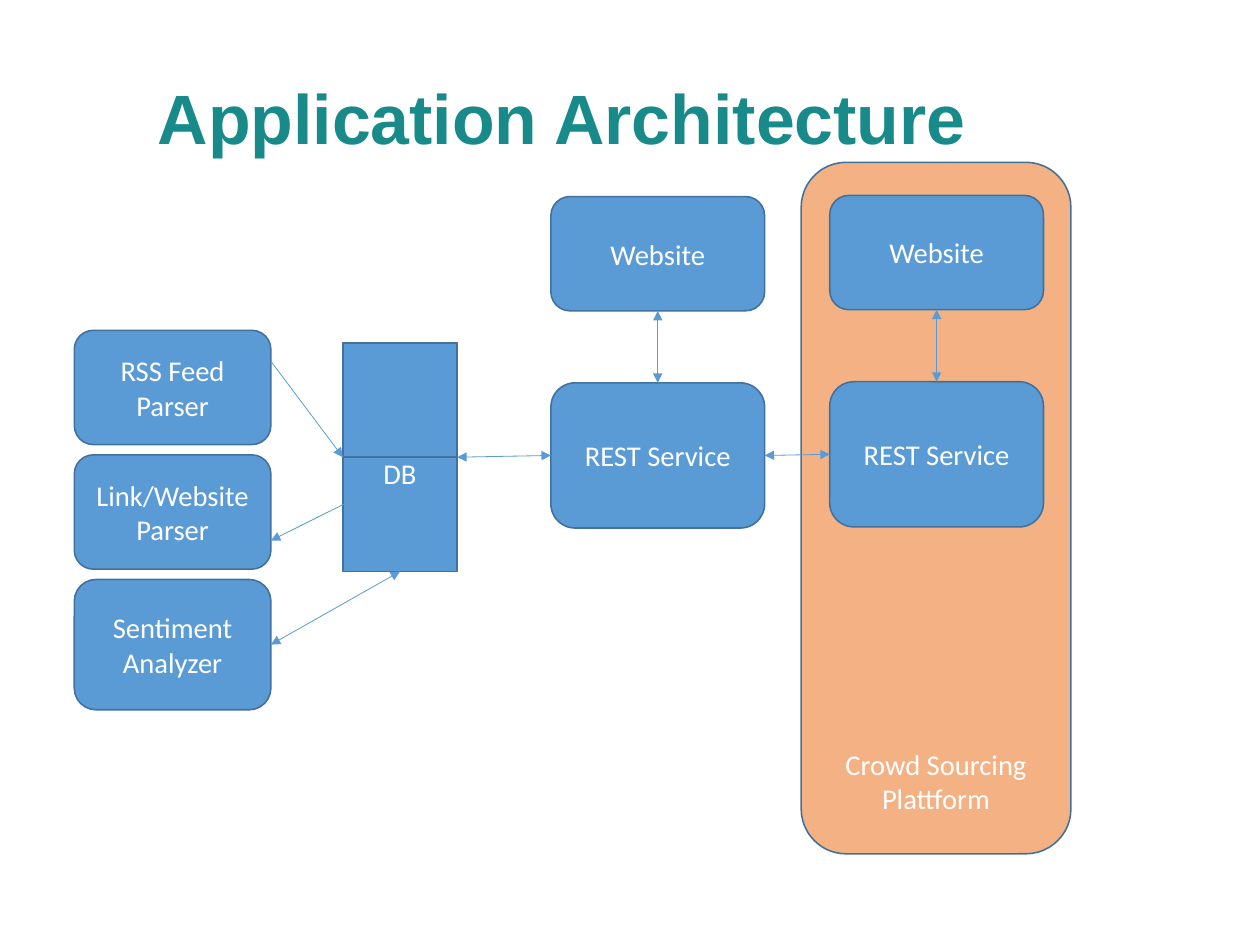
from math import cos, pi, sin

from pptx import Presentation, util as u
from pptx.dml.color import RGBColor
from pptx.enum import shapes, text
from pptx.oxml.ns import qn
from lxml import etree

BLUE, OUTLINE, ORANGE, TEAL, WHITE = "5B9BD5", "41719C", "F4B183", "198A8A", "FFFFFF"


def paint(color_format, value):
    color_format.rgb = RGBColor.from_string(value)


def inches(*lengths):
    return [u.Inches(length) for length in lengths]


def write(frame, words, size=18, font="Calibri", color=WHITE, bold=False,
          anchor=text.MSO_ANCHOR.MIDDLE, insets=(0.1, 0.05, 0.1, 0.05)):
    """Fill a text frame with centred lines, one paragraph each."""
    frame.word_wrap = True
    frame.vertical_anchor = anchor
    (frame.margin_left, frame.margin_top,
     frame.margin_right, frame.margin_bottom) = inches(*insets)
    for index, line in enumerate(words.split("\n")):
        paragraph = frame.paragraphs[0] if index == 0 else frame.add_paragraph()
        paragraph.alignment = text.PP_ALIGN.CENTER
        run = paragraph.add_run()
        run.text = line
        run.font.size, run.font.name, run.font.bold = u.Pt(size), font, bold
        paint(run.font.color, color)


def dress(shape, words, fill=BLUE, **text_format):
    shape.shadow.inherit = False
    shape.fill.solid()
    paint(shape.fill.fore_color, fill)
    paint(shape.line.color, OUTLINE)
    shape.line.width = u.Pt(1)
    write(shape.text_frame, words, **text_format)
    return shape


def node(slide, box, words, **style):
    rounded = shapes.MSO_SHAPE.ROUNDED_RECTANGLE
    return dress(slide.shapes.add_shape(rounded, *inches(*box)), words, **style)


def spot(shape, across, down):
    """Point at the given shares of a shape's width and height."""
    return (u.Emu(round(shape.left + across * shape.width)),
            u.Emu(round(shape.top + down * shape.height)))


def arrow(slide, start, end, ends=("headEnd", "tailEnd")):
    link = slide.shapes.add_connector(shapes.MSO_CONNECTOR.STRAIGHT,
                                      *spot(*start), *spot(*end))
    paint(link.line.color, BLUE)
    link.line.width = u.Pt(0.5)
    for tag in ends:
        etree.SubElement(link.line._get_or_add_ln(), qn(f"a:{tag}"), type="triangle")
    etree.SubElement(link._element.spPr, qn("a:effectLst"))


def title(slide, box):
    heading = slide.shapes.add_textbox(*inches(*box))
    write(heading.text_frame, "Application Architecture", size=44, font="Arial",
          color=TEAL, bold=True, insets=(0, 0, 0, 0))


def workers(slide, box, pitch=1.09):
    """Stack the data workers; the last one fills the rest of the box."""
    left, top, width, height = box
    names = ["RSS Feed\nParser", "Link/Website\nParser", "Sentiment\nAnalyzer"]
    heights = [1, 1, height - 2 * pitch]
    return [node(slide, (left, top + row * pitch, width, tall), name)
            for row, (name, tall) in enumerate(zip(names, heights))]


def database(slide, box, rise=0.28, steps=48):
    """Cylinder of one flat colour: a lid ellipse and the body below it."""
    left, top, width, height = box

    def arc(center_y, start, end):
        angles = [start + (end - start) * step / steps for step in range(steps + 1)]
        return [(left + width / 2 * (1 + cos(angle)), center_y + rise * sin(angle))
                for angle in angles]

    lid_y, base_y = top + rise, top + height - rise
    lid = arc(lid_y, 0, 2 * pi)
    body = arc(lid_y, pi, 0) + arc(base_y, 0, pi)
    outline = slide.shapes.build_freeform(*lid[0], scale=u.Inches(1))
    outline.add_line_segments(lid[1:], close=True)
    outline.move_to(*body[0])
    outline.add_line_segments(body[1:], close=True)
    return dress(outline.convert_to_shape(), "DB",
                 insets=(0.1, 2 * rise + 0.05, 0.1, rise + 0.05))


def web_stack(slide, box):
    """Website above its REST service, joined by an arrow; returns the service."""
    left, top, width, height = box
    service_height = 1.27
    website = node(slide, (left, top, width, 1), "Website")
    service = node(slide, (left, top + height - service_height, width, service_height),
                   "REST Service")
    arrow(slide, (website, 0.5, 1), (service, 0.5, 0))
    return service


def crowd_platform(slide, box):
    left, top, width, _ = box
    node(slide, box, "Crowd Sourcing\nPlattform", fill=ORANGE,
         anchor=text.MSO_ANCHOR.BOTTOM, insets=(0.1, 0.05, 0.1, 0.22))
    return web_stack(slide, (left + 0.25, top + 0.29, width - 0.49, 2.9))


def main():
    deck = Presentation()
    deck.slide_width, deck.slide_height = u.Cm(28), u.Cm(21)
    slide = deck.slides.add_slide(deck.slide_layouts[6])

    title(slide, (0.39, 0.33, 9.06, 1.38))
    rss, link_parser, sentiment = workers(slide, (0.65, 2.89, 1.72, 3.32))
    store = database(slide, (2.87, 3.13, 1.54, 1.7))
    service = web_stack(slide, (4.82, 1.72, 1.87, 2.9))
    crowd_service = crowd_platform(slide, (7.01, 1.42, 2.36, 6.05))

    arrow(slide, (rss, 1, 0.27), (store, 0, 0.5), ends=["tailEnd"])
    arrow(slide, (store, 0.23, 0.65), (link_parser, 1, 0.75))
    arrow(slide, (store, 0.5, 1), (sentiment, 1, 0.5))
    arrow(slide, (service, 0, 0.5), (store, 1, 0.5))
    arrow(slide, (service, 1, 0.5), (crowd_service, 0, 0.5))

    deck.save("out.pptx")


if __name__ == "__main__":
    main()
